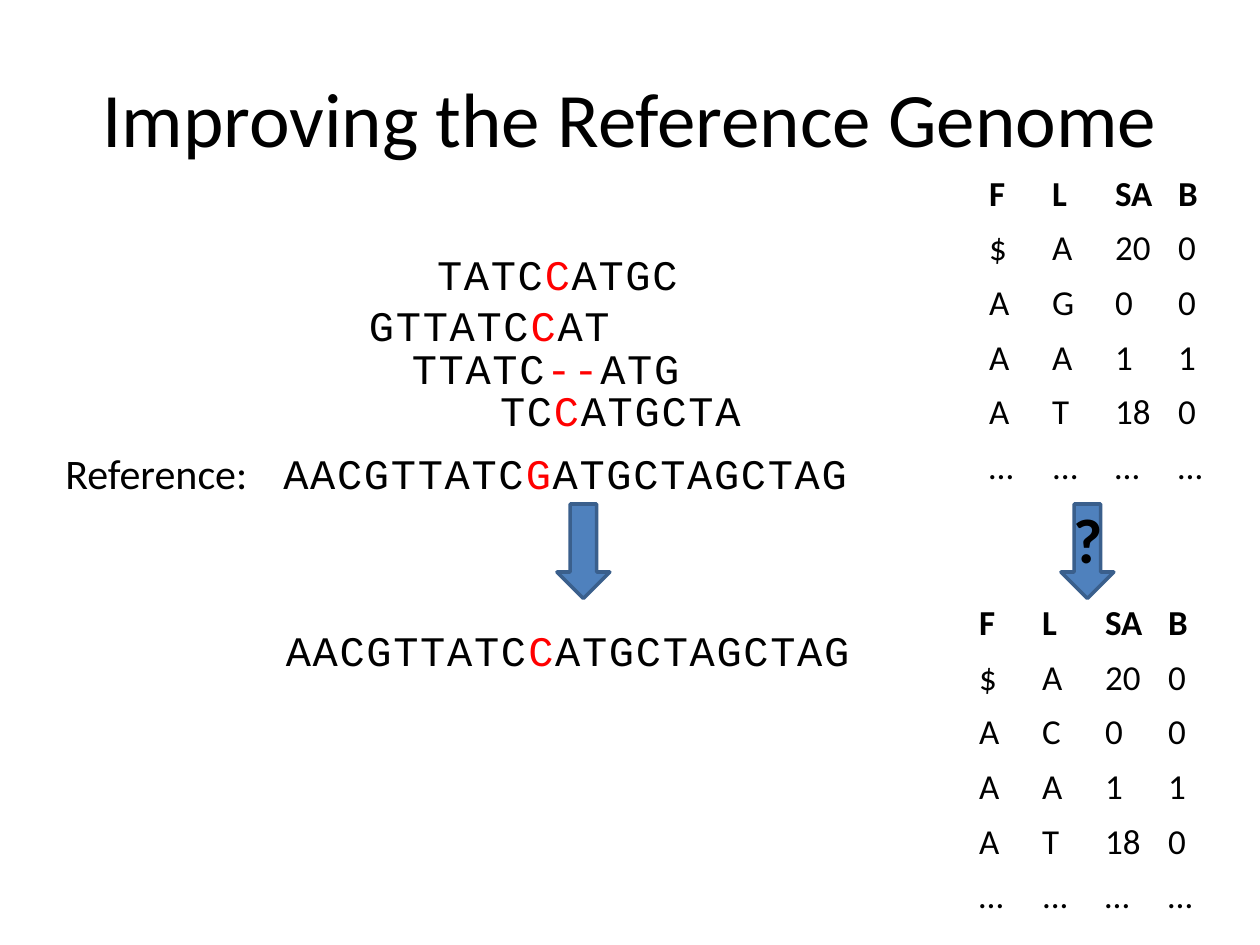
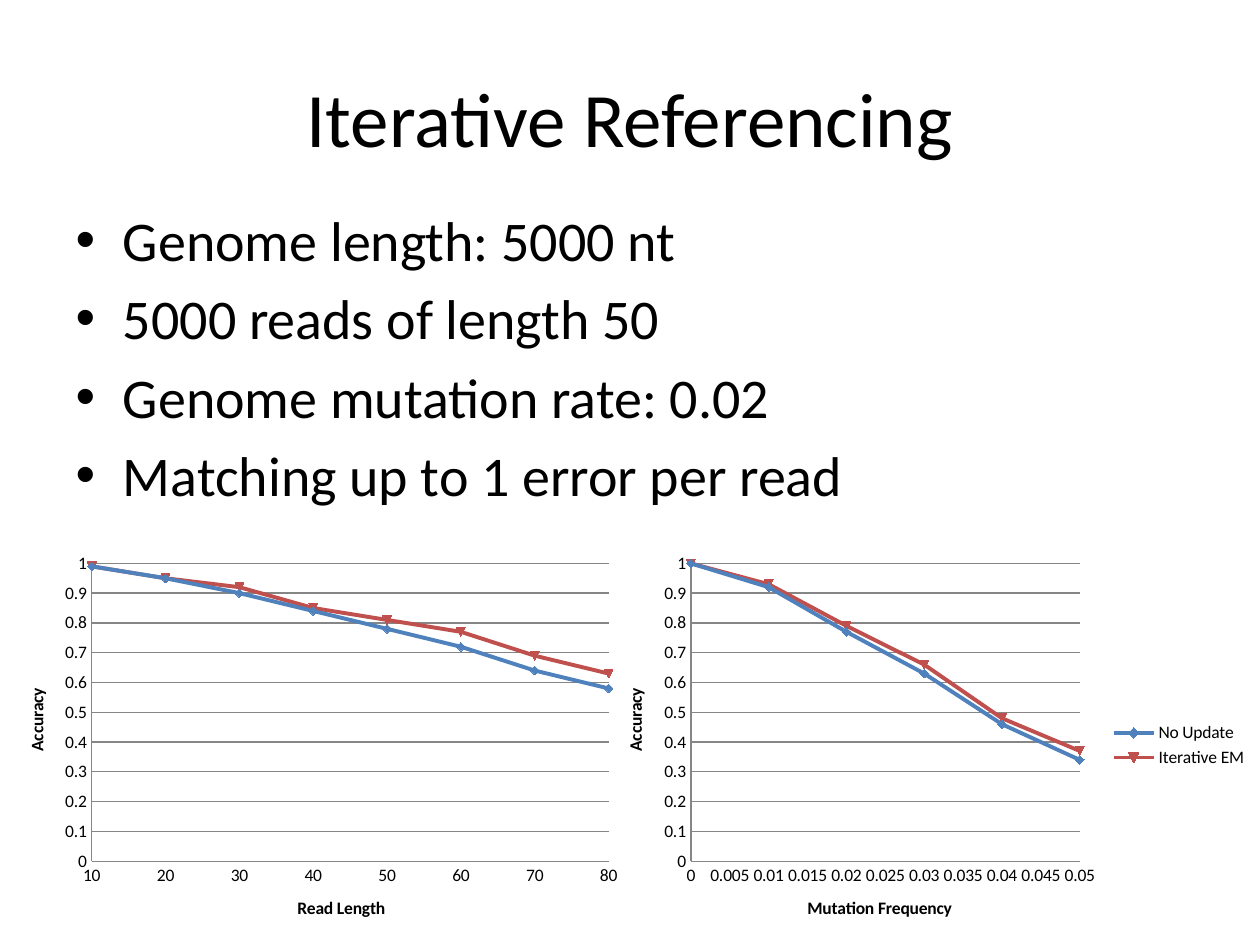
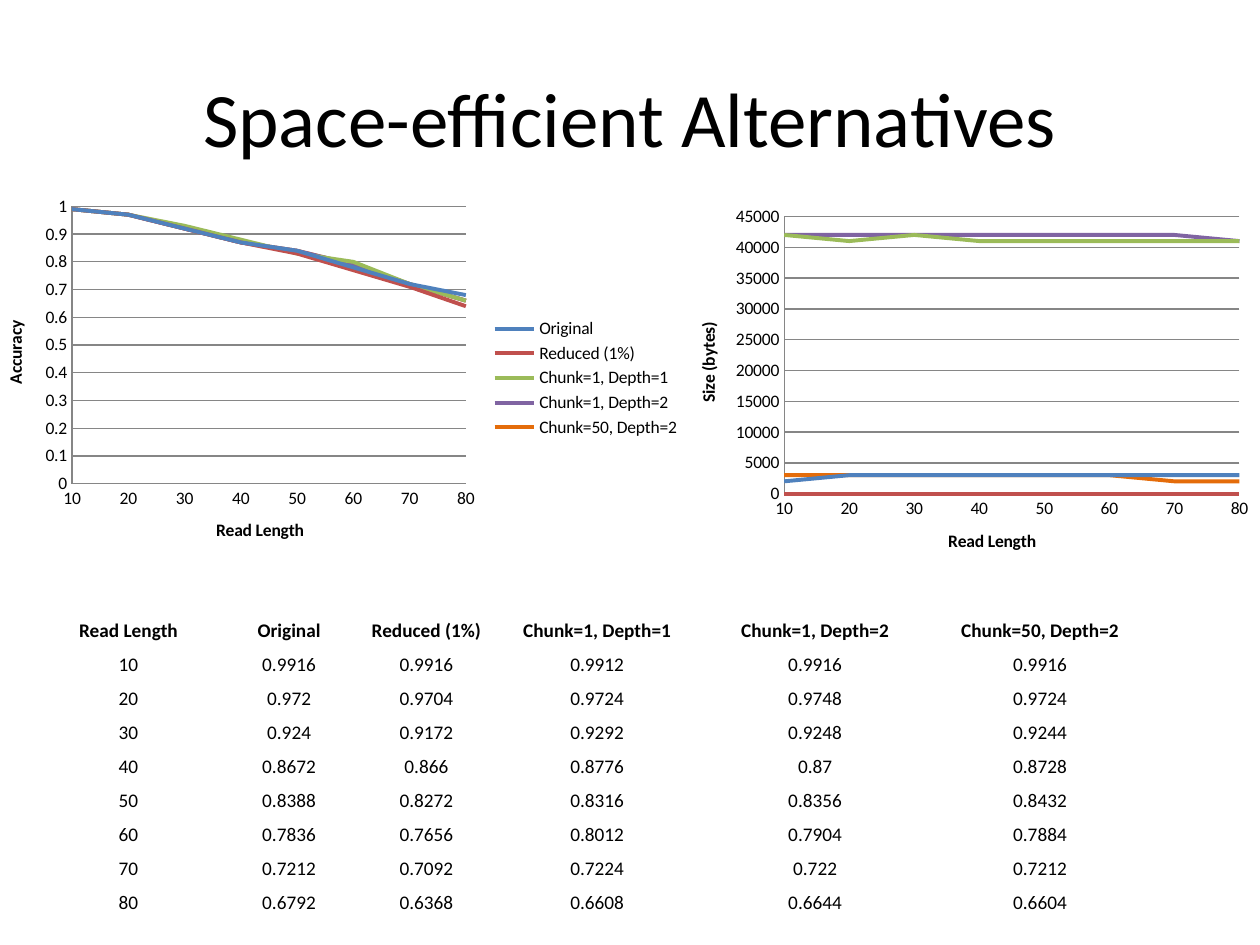
"""Build three slides on improving a reference genome."""
from dataclasses import dataclass
from typing import Optional, Sequence

from pptx import Presentation
from pptx.chart.data import XyChartData
from pptx.dml.color import RGBColor
from pptx.enum.chart import XL_CHART_TYPE, XL_LEGEND_POSITION, XL_TICK_MARK
from pptx.enum.shapes import MSO_SHAPE
from pptx.enum.text import MSO_ANCHOR, MSO_AUTO_SIZE, PP_ALIGN
from pptx.util import Inches, Pt

BLACK = RGBColor(0x00, 0x00, 0x00)
RED = RGBColor(0xFF, 0x00, 0x00)
GRAY = RGBColor(0x86, 0x86, 0x86)
BLUE = RGBColor(0x4F, 0x81, 0xBD)
DARK_BLUE = RGBColor(0x3A, 0x5F, 0x8C)
SERIES_COLORS = (BLUE, RGBColor(0xC0, 0x50, 0x4D), RGBColor(0x9B, 0xBB, 0x59),
                 RGBColor(0x80, 0x64, 0xA2), RGBColor(0xE4, 0x6C, 0x0A))
BODY_FONT = "Calibri"
SEQUENCE_FONT = "Courier New"


@dataclass(frozen=True)
class Box:
    left: float
    top: float
    width: float
    height: float

    def lengths(self) -> tuple:
        return tuple(Inches(v) for v in (self.left, self.top, self.width, self.height))


@dataclass(frozen=True)
class MarkedRead:
    box: Box
    before: str
    changed: str
    after: str


@dataclass(frozen=True)
class Axis:
    title: str
    low: Optional[float] = None
    high: Optional[float] = None
    step: Optional[float] = None


@dataclass(frozen=True)
class LineChart:
    box: Box
    x_axis: Axis
    y_axis: Axis
    x_values: Sequence[float]
    series: dict
    legend: bool = False
    markers: bool = False


def style_font(font, size: float, color: RGBColor = BLACK, bold: bool = False,
               name: str = BODY_FONT) -> None:
    font.name, font.size, font.bold = name, Pt(size), bold
    font.color.rgb = color


def place(shape, box: Box) -> None:
    shape.left, shape.top, shape.width, shape.height = box.lengths()


def add_titled_slide(prs, title: str, layout: int = 5):
    slide = prs.slides.add_slide(prs.slide_layouts[layout])
    place(slide.shapes.title, Box(0.5, 0.3, 9, 1.25))
    frame = slide.shapes.title.text_frame
    frame.text = title
    frame.vertical_anchor = MSO_ANCHOR.MIDDLE
    frame.paragraphs[0].alignment = PP_ALIGN.CENTER
    style_font(frame.paragraphs[0].runs[0].font, 44)
    return slide


def add_label(slide, box: Box):
    frame = slide.shapes.add_textbox(*box.lengths()).text_frame
    frame.word_wrap = False
    frame.auto_size = MSO_AUTO_SIZE.SHAPE_TO_FIT_TEXT
    return frame.paragraphs[0]


def add_text(slide, box: Box, text: str, size: float, bold: bool = False) -> None:
    run = add_label(slide, box).add_run()
    run.text = text
    style_font(run.font, size, bold=bold)


def add_read(slide, read: MarkedRead) -> None:
    paragraph = add_label(slide, read.box)
    for text, color in ((read.before, BLACK), (read.changed, RED), (read.after, BLACK)):
        run = paragraph.add_run()
        run.text = text
        style_font(run.font, 24, color, name=SEQUENCE_FONT)
        run.font._element.set("spc", "100")


def add_down_arrow(slide, left: float) -> None:
    arrow = slide.shapes.add_shape(MSO_SHAPE.DOWN_ARROW, *Box(left, 4, 0.42, 0.75).lengths())
    arrow.shadow.inherit = False
    arrow.fill.solid()
    arrow.fill.fore_color.rgb = BLUE
    arrow.line.color.rgb = DARK_BLUE
    arrow.line.width = Pt(2)


def add_plain_table(slide, left: float, top: float, widths: Sequence[float],
                    heights: Sequence[float], rows: Sequence[Sequence[str]],
                    size: float, compact: bool = False) -> None:
    box = Box(left, top, sum(widths), sum(heights))
    table = slide.shapes.add_table(len(rows), len(widths), *box.lengths()).table
    table.first_row = table.horz_banding = False
    for column, width in zip(table.columns, widths):
        column.width = Inches(width)
    for r, (height, values) in enumerate(zip(heights, rows)):
        table.rows[r].height = Inches(height)
        for c, value in enumerate(values):
            cell = table.cell(r, c)
            cell.fill.background()
            cell.text = value
            paragraph = cell.text_frame.paragraphs[0]
            style_font(paragraph.runs[0].font, size, bold=r == 0)
            if compact:
                cell.margin_left = cell.margin_right = cell.margin_top = cell.margin_bottom = 0
                cell.vertical_anchor = MSO_ANCHOR.BOTTOM
                paragraph.alignment = PP_ALIGN.CENTER


def style_axis(axis, spec: Axis, gridlines: bool) -> None:
    axis.has_title = True
    frame = axis.axis_title.text_frame
    frame.text = spec.title
    style_font(frame.paragraphs[0].runs[0].font, 10, bold=True)
    axis.minimum_scale, axis.maximum_scale = spec.low, spec.high
    axis.major_unit = spec.step
    axis.major_tick_mark = axis.minor_tick_mark = XL_TICK_MARK.NONE
    axis.tick_labels.number_format = "General"
    axis.tick_labels.number_format_is_linked = False
    axis.format.line.color.rgb = GRAY
    axis.has_major_gridlines = gridlines
    if gridlines:
        axis.major_gridlines.format.line.color.rgb = GRAY


def add_line_chart(slide, spec: LineChart) -> None:
    data = XyChartData()
    for name, values in spec.series.items():
        series = data.add_series(name)
        for x, y in zip(spec.x_values, values):
            series.add_data_point(x, y)
    kind = (XL_CHART_TYPE.XY_SCATTER_LINES if spec.markers
            else XL_CHART_TYPE.XY_SCATTER_LINES_NO_MARKERS)
    chart = slide.shapes.add_chart(kind, *spec.box.lengths(), data).chart
    chart.has_title = False
    style_font(chart.font, 10)
    style_axis(chart.category_axis, spec.x_axis, False)
    style_axis(chart.value_axis, spec.y_axis, True)
    chart.has_legend = spec.legend
    if spec.legend:
        chart.legend.position = XL_LEGEND_POSITION.RIGHT
        chart.legend.include_in_layout = False
    plot = chart.plots[0]
    plot.vary_by_categories = False
    for series, color in zip(plot.series, SERIES_COLORS):
        series.smooth = False
        series.format.line.color.rgb = color
        series.format.line.width = Pt(2.25)
        if spec.markers:
            series.marker.format.fill.solid()
            series.marker.format.fill.fore_color.rgb = color
            series.marker.format.line.color.rgb = color


READ_LENGTHS = tuple(range(10, 90, 10))
READ_AXIS = Axis("Read Length", 10, 80, 10)
ACCURACY_AXIS = Axis("Accuracy", 0, 1)


def index_rows(changed_base: str) -> list:
    return [["F", "L", "SA", "B"], ["$", "A", "20", "0"], ["A", changed_base, "0", "0"],
            ["A", "A", "1", "1"], ["A", "T", "18", "0"], ["…", "...", "…", "…"]]


def build_reference_slide(prs) -> None:
    slide = add_titled_slide(prs, "Improving the Reference Genome")
    for read in (
        MarkedRead(Box(2.15, 3.5, 5.35, 0.5), "AACGTTATC", "G", "ATGCTAGCTAG"),
        MarkedRead(Box(3.37, 1.92, 2.38, 0.5), "TATC", "C", "ATGC"),
        MarkedRead(Box(2.83, 2.33, 2.35, 0.5), "GTTATC", "C", "AT"),
        MarkedRead(Box(3.17, 2.67, 2.34, 0.5), "TTATC", "--", "ATG"),
        MarkedRead(Box(3.87, 3, 2.38, 0.5), "TC", "C", "ATGCTA"),
        MarkedRead(Box(2.17, 4.91, 5.34, 0.5), "AACGTTATC", "C", "ATGCTAGCTAG"),
    ):
        add_read(slide, read)
    add_text(slide, Box(0.42, 3.5, 1.67, 0.5), "Reference:", 24)
    add_down_arrow(slide, 4.42)
    add_plain_table(slide, 7.75, 1.32, [0.5] * 4, [0.33, 0.41, 0.41, 0.41, 0.35, 0.41],
                    index_rows("G"), 20)
    add_plain_table(slide, 7.67, 4.73, [0.5] * 4, [0.41] * 6, index_rows("C"), 20)
    add_down_arrow(slide, 8.42)
    add_text(slide, Box(8.42, 3.92, 0.44, 0.71), "?", 36, bold=True)


def build_iterative_slide(prs) -> None:
    slide = add_titled_slide(prs, "Iterative Referencing", layout=1)
    body = slide.placeholders[1]
    place(body, Box(0.5, 1.58, 9, 2.42))
    body.text_frame.text = "\n".join((
        "Genome length: 5000 nt", "5000 reads of length 50",
        "Genome mutation rate: 0.02", "Matching up to 1 error per read"))
    for paragraph in body.text_frame.paragraphs:
        style_font(paragraph.runs[0].font, 32)
    add_line_chart(slide, LineChart(
        Box(4.75, 4.33, 5.25, 3.17), Axis("Mutation Frequency", 0, 0.05), ACCURACY_AXIS,
        (0, 0.01, 0.02, 0.03, 0.04, 0.05),
        {"No Update": (1, 0.92, 0.77, 0.63, 0.46, 0.34),
         "Iterative EM": (1, 0.93, 0.79, 0.66, 0.48, 0.37)}, legend=True, markers=True))
    add_line_chart(slide, LineChart(
        Box(0, 4.33, 5, 3.17), READ_AXIS, ACCURACY_AXIS, READ_LENGTHS,
        {"Series 1": (0.99, 0.95, 0.9, 0.84, 0.78, 0.72, 0.64, 0.58),
         "Series 2": (0.99, 0.95, 0.92, 0.85, 0.81, 0.77, 0.69, 0.63)}, markers=True))


def build_alternatives_slide(prs) -> None:
    slide = add_titled_slide(prs, "Space-efficient Alternatives")
    accuracy = {
        "Original": (0.9916, 0.972, 0.924, 0.8672, 0.8388, 0.7836, 0.7212, 0.6792),
        "Reduced (1%)": (0.9916, 0.9704, 0.9172, 0.866, 0.8272, 0.7656, 0.7092, 0.6368),
        "Chunk=1, Depth=1": (0.9912, 0.9724, 0.9292, 0.8776, 0.8316, 0.8012, 0.7224, 0.6608),
        "Chunk=1, Depth=2": (0.9916, 0.9748, 0.9248, 0.87, 0.8356, 0.7904, 0.722, 0.6644),
        "Chunk=50, Depth=2": (0.9916, 0.9724, 0.9244, 0.8728, 0.8432, 0.7884, 0.7212, 0.6604),
    }
    rounded = {name: [round(v, 2) for v in values] for name, values in accuracy.items()}
    kilobytes = {
        "Series 1": (2, 3, 3, 3, 3, 3, 3, 3),
        "Series 2": (0,) * 8,
        "Series 3": (42, 41, 42, 41, 41, 41, 41, 41),
        "Series 4": (42, 42, 42, 42, 42, 42, 42, 41),
        "Series 5": (3, 3, 3, 3, 3, 3, 2, 2),
    }
    sizes = {name: [v * 1000 for v in values] for name, values in kilobytes.items()}
    rows = [["Read Length", *accuracy]]
    rows += [[str(v) for v in row] for row in zip(READ_LENGTHS, *accuracy.values())]
    add_plain_table(slide, 0.33, 4.83, (1.38, 1.17, 1.01, 1.7, 1.76, 1.81),
                    [0.27] * len(rows), rows, 11, compact=True)
    add_line_chart(slide, LineChart(Box(-0.17, 1.5, 5.67, 3), READ_AXIS, ACCURACY_AXIS,
                                    READ_LENGTHS, rounded, legend=True))
    add_line_chart(slide, LineChart(Box(5.33, 1.58, 4.67, 3), READ_AXIS, Axis("Size (bytes)"),
                                    READ_LENGTHS, sizes))


def main() -> None:
    prs = Presentation()
    prs.slide_width, prs.slide_height = Inches(10), Inches(7.5)
    build_reference_slide(prs)
    build_iterative_slide(prs)
    build_alternatives_slide(prs)
    prs.save("out.pptx")


main()
